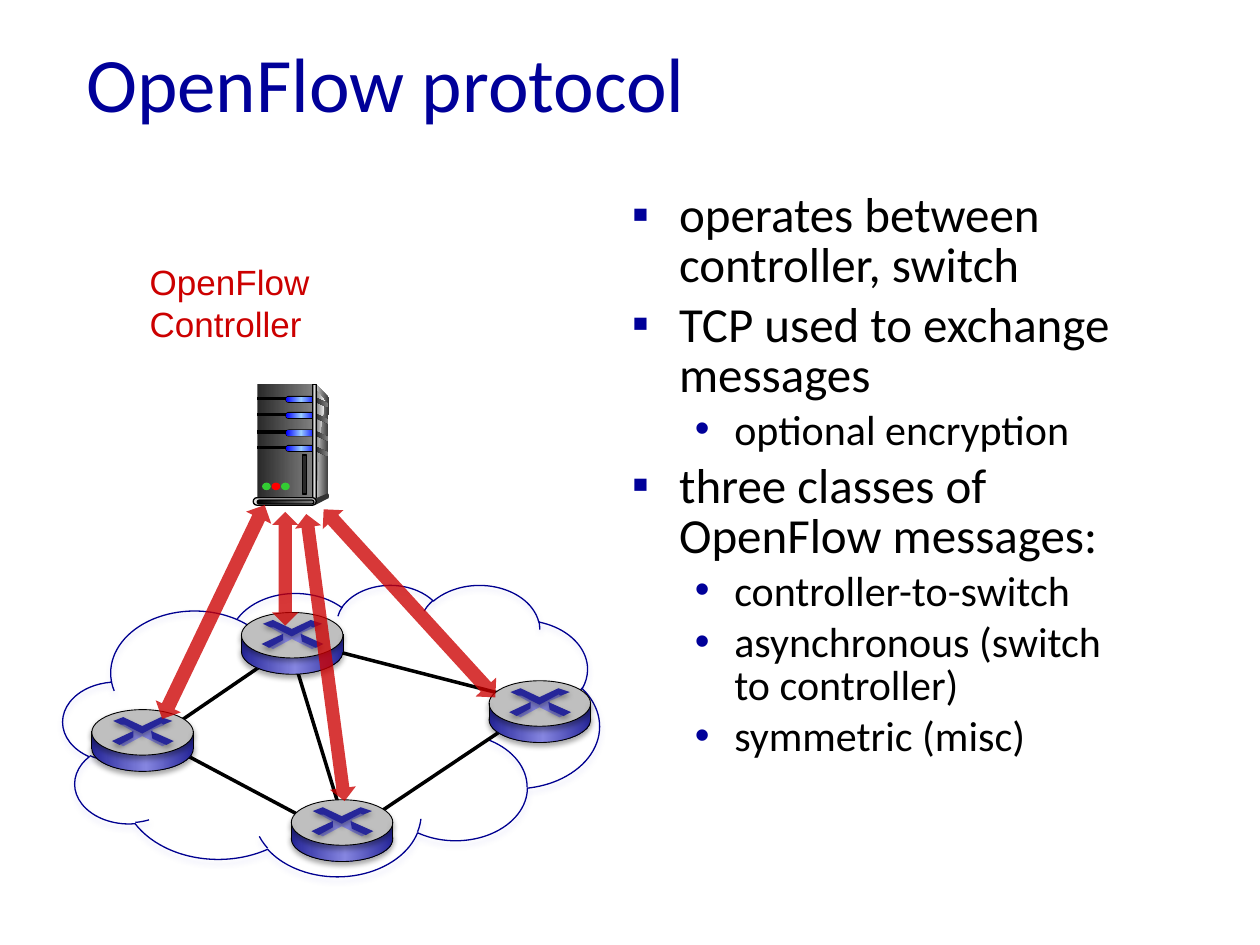
from lxml.etree import SubElement
from pptx import Presentation
from pptx.dml.color import RGBColor
from pptx.enum.shapes import MSO_CONNECTOR, MSO_SHAPE
from pptx.enum.text import MSO_ANCHOR, MSO_AUTO_SIZE, PP_ALIGN
from pptx.oxml.ns import qn
from pptx.util import Pt

NAVY, RED, BLACK = "000099", "CC0000", "000000"
DARK, LIGHT = "262699", "8585E0"
STEEL = ((0, "292929"), (100, "808080"))
RIM = ((0, DARK), (53, LIGHT), (100, DARK))
GLOW = ((0, "0000FF"), (50, "99CCFF"), (100, "0000FF"))
SHADE = (BLACK, 35)


def hue(code):
    return RGBColor.from_string(code)


class Deck:
    text_font = "Calibri"
    label_font = "Arial"

    def __init__(self):
        self.file = Presentation()
        self.file.slide_width, self.file.slide_height = Pt(720), Pt(540)
        self.slide = self.file.slides.add_slide(self.file.slide_layouts[5])
        self.shapes = self.slide.shapes

    def place(self, shape, box):
        shape.left, shape.top, shape.width, shape.height = map(Pt, box)

    def cast(self, effects, shade):
        color, alpha = shade
        outer = SubElement(effects, qn("a:outerShdw"), blurRad=str(Pt(3.1)),
                           dist=str(Pt(1.8)), dir="5400000", rotWithShape="0")
        tone = SubElement(outer, qn("a:srgbClr"), val=color)
        SubElement(tone, qn("a:alpha"), val=str(alpha * 1000))

    def paint(self, shape, fill=None, line=None, width=0.75, shade=None, alpha=None):
        props = shape._element.spPr
        if fill is None:
            shape.fill.background()
        elif isinstance(fill, str):
            shape.fill.solid()
            shape.fill.fore_color.rgb = hue(fill)
            if alpha:
                tone = props.find(qn("a:solidFill")).find(qn("a:srgbClr"))
                SubElement(tone, qn("a:alpha"), val=str(alpha * 1000))
        else:
            shape.fill.gradient()
            shape.fill.gradient_angle = 0
            stops = props.find(qn("a:gradFill")).find(qn("a:gsLst"))
            stops.clear()
            for spot, code in fill:
                stop = SubElement(stops, qn("a:gs"), pos=str(spot * 1000))
                SubElement(stop, qn("a:srgbClr"), val=code)
        if line:
            shape.line.color.rgb = hue(line)
            shape.line.width = Pt(width)
        else:
            shape.line.fill.background()
        shape.shadow.inherit = False
        if shade:
            self.cast(props.find(qn("a:effectLst")), shade)

    def shape(self, kind, box, fill=None, turn=0, round_end=False, **look):
        item = self.shapes.add_shape(kind, *map(Pt, box))
        item.rotation = turn
        if round_end:
            item.adjustments[0] = 0.5
        self.paint(item, fill, **look)

    def rect(self, box, fill, **look):
        self.shape(MSO_SHAPE.RECTANGLE, box, fill, **look)

    def oval(self, box, fill, **look):
        self.shape(MSO_SHAPE.OVAL, box, fill, **look)

    def pill(self, box, fill, **look):
        self.shape(MSO_SHAPE.ROUNDED_RECTANGLE, box, fill, round_end=True, **look)

    def outline(self, points, fill, left=0, top=0, **look):
        spots = [(Pt(left + x), Pt(top + y)) for x, y in points]
        path = self.shapes.build_freeform(*spots[0], scale=1.0)
        path.add_line_segments(spots[1:], close=True)
        self.paint(path.convert_to_shape(), fill, **look)

    def line(self, start, end, width, shade=None):
        item = self.shapes.add_connector(MSO_CONNECTOR.STRAIGHT, *map(Pt, start + end))
        item.line.color.rgb = hue(BLACK)
        item.line.width = Pt(width)
        effects = SubElement(item._element.spPr, qn("a:effectLst"))
        if shade:
            self.cast(effects, shade)

    def run(self, para, text, size, color, font):
        run = para.add_run()
        run.text = text
        run.font.size, run.font.name = Pt(size), font
        run.font.color.rgb = hue(color)

    def title(self, text, box):
        item = self.shapes.title
        self.place(item, box)
        frame = item.text_frame
        frame.auto_size = MSO_AUTO_SIZE.NONE
        frame.vertical_anchor = MSO_ANCHOR.MIDDLE
        para = frame.paragraphs[0]
        para.alignment = PP_ALIGN.LEFT
        self.run(para, text, 44, NAVY, self.text_font)

    def frame(self, box):
        frame = self.shapes.add_textbox(*map(Pt, box)).text_frame
        frame.word_wrap = True
        return frame

    def label(self, lines, box):
        para = self.frame(box).paragraphs[0]
        for index, text in enumerate(lines):
            if index:
                para.add_line_break()
            self.run(para, text, 20, RED, self.label_font)

    def bullets(self, items, box):
        frame = self.frame(box)
        for index, (level, text) in enumerate(items):
            para = frame.add_paragraph() if index else frame.paragraphs[0]
            size, mark, left, hang = ((28, "▪", 27, 27), (24, "•", 58.5, 22.5))[level]
            para.level = level
            para.line_spacing = 0.85
            if index:
                para.space_before = Pt(size * 0.2)
            props = para._p.get_or_add_pPr()
            props.set("marL", str(Pt(left)))
            props.set("indent", str(-Pt(hang)))
            tone = SubElement(props, qn("a:buClr"))
            SubElement(tone, qn("a:srgbClr"), val=NAVY)
            SubElement(props, qn("a:buFont"), typeface=self.label_font)
            SubElement(props, qn("a:buChar"), char=mark)
            self.run(para, text, size, BLACK, self.text_font)

    def server(self):
        self.outline([(180.7, 219.6), (188, 227.5), (187.2, 283), (179.3, 286)],
                     ((0, "DDDDDD"), (100, "333333")))
        self.rect((147, 219.6, 32, 66), STEEL)
        self.outline([(180.7, 223), (185.8, 229), (183, 247), (181.6, 266), (180.7, 284)],
                     ((0, "808080"), (100, "F8F8F8")))
        for y in (227, 236.2, 246.2, 255):
            self.rect((147, y, 18, 1.4), BLACK, line=BLACK)
            self.pill((163, y - 0.8, 17.5, 4), BLACK)
            self.pill((163.5, y - 0.2, 17, 3), GLOW)
            self.outline([(180, y), (187.5, y + 3.5), (187.5, y + 5.8), (180, y + 2.6)], STEEL)
        self.rect((178.6, 219.6, 2.2, 66),
                  ((0, "333333"), (50, "DDDDDD"), (100, "333333")), line=BLACK)
        self.oval((186.5, 282, 1.5, 3), "333333")
        self.outline([(180, 285), (180, 288.7), (187.2, 285), (187.2, 282)], "333333")
        self.pill((144.7, 284.4, 36, 4.3), "DDDDDD", line=BLACK)
        self.pill((147, 285.8, 32.4, 2.2), ((0, BLACK), (100, "808080")), line=BLACK)
        for x, code in ((149.8, "33CC33"), (155.2, "FF0000"), (160.6, "33CC33")):
            self.oval((x, 275.8, 5, 4.3), code)
        self.rect((172.8, 260, 2.2, 22.3), "292929", line=BLACK)

    def router(self, x, y):
        edge = {"line": BLACK, "width": 0.5, "shade": SHADE}
        self.oval((x, y + 9.3, 58, 26), RIM, **edge)
        self.rect((x, y + 13, 58, 9.4), RIM)
        self.oval((x, y, 58, 26), "BFBFBF", **edge)
        self.outline([(28.8, 15.1), (18, 20.9), (15.1, 19.4), (23.8, 15.8), (23, 12.2),
                      (16.6, 8.6), (18.7, 7.9), (28.8, 12.2), (38.9, 7.9), (41.8, 8.6),
                      (34.6, 11.5), (36, 16.6), (43.2, 19.4), (40.3, 20.9)], LIGHT, x, y)
        for points in (
            [(12.2, 6.5), (18, 4.3), (28.8, 9.4), (39.6, 4.3), (46.1, 6.5), (41, 8.6),
             (39.6, 7.9), (28.8, 13.7), (18.7, 8.6), (16.6, 8.6)],
            [(33.8, 12.2), (46.8, 18), (42.5, 20.2), (34.6, 16.6)],
            [(23.8, 12.2), (23.8, 15.8), (15.8, 20.2), (11.5, 18)],
        ):
            self.outline(points, DARK, x, y, shade=SHADE)
        for side in (x, x + 58):
            self.line((side, y + 22.5), (side, y + 12.5), 0.5, (BLACK, 38))


def main():
    deck = Deck()
    deck.title("OpenFlow protocol", (42, 1.5, 612, 90))
    deck.bullets([
        (0, "operates between controller, switch"),
        (0, "TCP used to exchange messages"),
        (1, "optional encryption"),
        (0, "three classes of OpenFlow messages:"),
        (1, "controller-to-switch"),
        (1, "asynchronous (switch to controller)"),
        (1, "symmetric (misc)"),
    ], (354, 106.5, 300, 366))
    deck.shape(MSO_SHAPE.CLOUD, (36, 334, 306.5, 166.5), line="000090",
               shade=("A5A5E9", 35))
    for start, end in (
        ((88.5, 422), (183.5, 357)),
        ((88.5, 422), (183.5, 472.5)),
        ((168, 377), (193, 458.5)),
        ((189.5, 371.5), (292.5, 398)),
        ((204.5, 472.5), (292.5, 413.5)),
    ):
        deck.line(start, end, 2)
    deck.server()
    deck.label(["OpenFlow", "Controller"], (78.5, 145.5, 193.5, 32))
    for spot in ((166.5, 457), (279.5, 389), (52.5, 405.5), (138, 350)):
        deck.router(*spot)
    for box, turn in (
        ((178.5, 293, 15, 165.5), 352.4),
        ((155.5, 292.5, 15, 65), 0),
        ((226, 272, 16, 145.5), 317.6),
        ((114, 282, 16, 135.5), 25.6),
    ):
        deck.shape(MSO_SHAPE.UP_DOWN_ARROW, box, RED, turn, alpha=78)
    deck.file.save("out.pptx")


if __name__ == "__main__":
    main()
